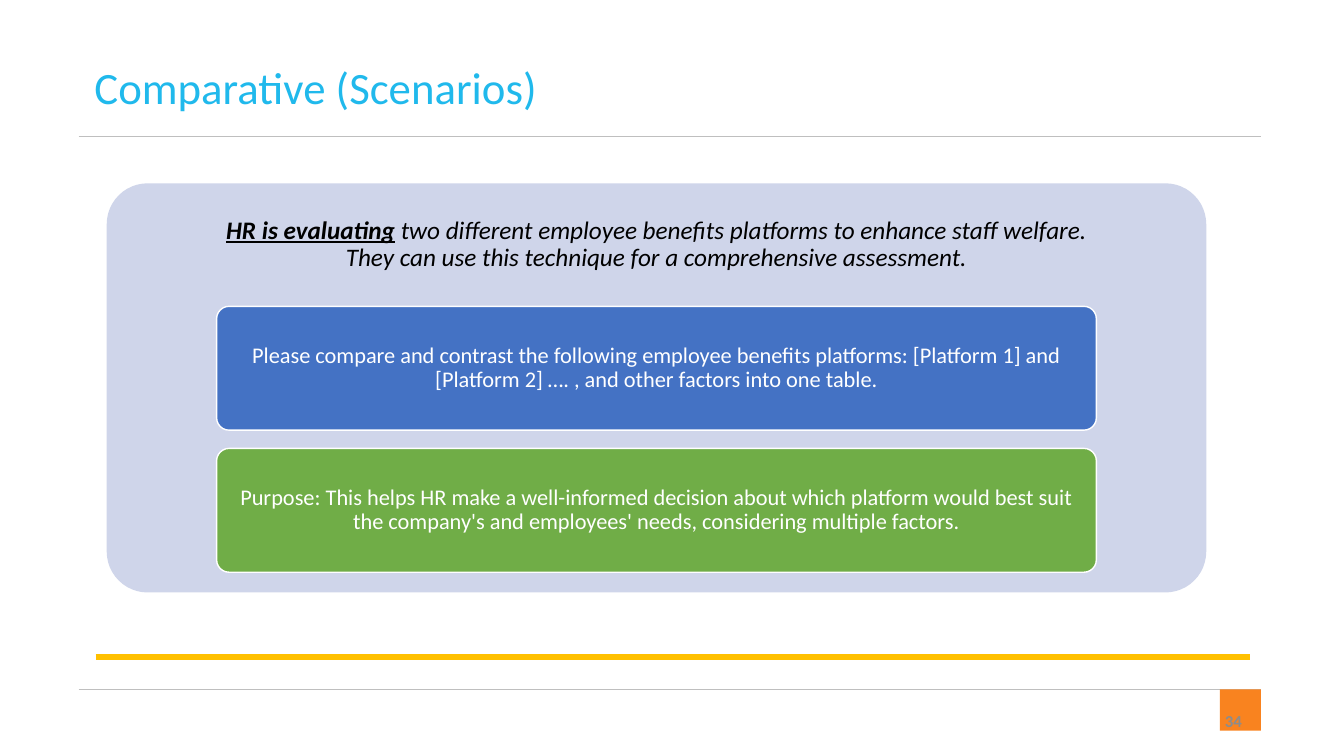
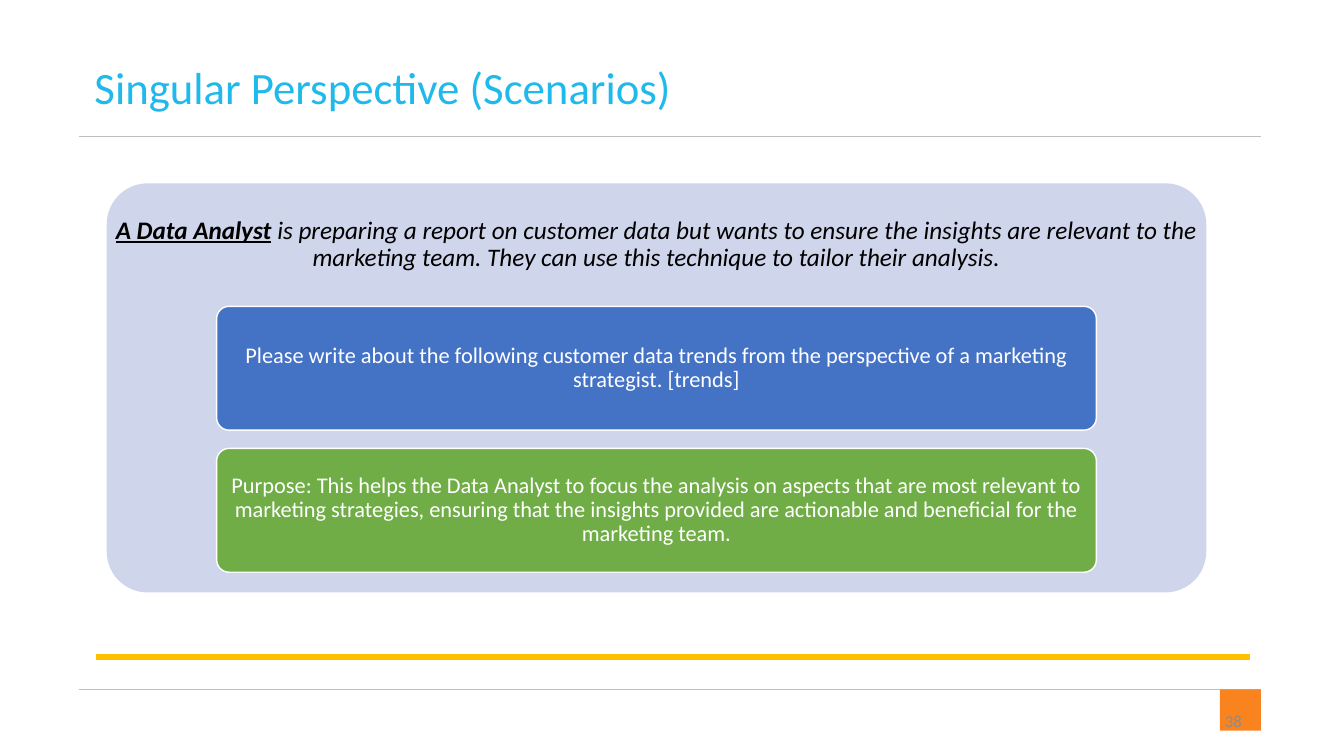
import lxml.etree
import pptx
import pptx.dml.color
import pptx.enum.shapes
import pptx.enum.text
import pptx.oxml.ns
import pptx.util

Cm = pptx.util.Cm
Pt = pptx.util.Pt
RGBColor = pptx.dml.color.RGBColor
ALIGN = pptx.enum.text.PP_ALIGN
ANCHOR = pptx.enum.text.MSO_ANCHOR
SHAPE = pptx.enum.shapes.MSO_SHAPE

SKY = RGBColor(0x20, 0xB9, 0xEC)
ORANGE = RGBColor(0xF9, 0x83, 0x1F)
GOLD = RGBColor(0xFF, 0xC0, 0x00)
SILVER = RGBColor(0xBF, 0xBF, 0xBF)
GREY = RGBColor(0x8C, 0x8C, 0x8C)
LAVENDER = RGBColor(0xCF, 0xD5, 0xEA)
BLUE = RGBColor(0x44, 0x72, 0xC4)
GREEN = RGBColor(0x70, 0xAD, 0x47)
WHITE = RGBColor(0xFF, 0xFF, 0xFF)
BLACK = RGBColor(0, 0, 0)

TITLE_ONLY = 5
RULE_LEFT, RULE_RIGHT = Cm(1.98), Cm(31.78)
FOOTER_TOP = Cm(17.37)
MARKER_SIZE = Cm(1.04)
PANEL_LEFT, PANEL_TOP = Cm(2.69), Cm(4.62)
PANEL_WIDTH, PANEL_HEIGHT = Cm(27.71), Cm(10.31)
SCENARIO_HEIGHT = Cm(3.1)
CARD_LEFT, CARD_WIDTH, CARD_HEIGHT = Cm(5.46), Cm(22.17), Cm(3.12)
CARD_GAP = Cm(0.46)

SCENARIOS = [
    {
        "number": "34",
        "number_bold": True,
        "title": "Comparative (Scenarios)",
        "subject": "HR is evaluating",
        "situation": [
            " two different employee benefits platforms to enhance staff welfare.",
            "They can use this technique for a comprehensive assessment.",
        ],
        "prompt": "Please compare and contrast the following employee benefits platforms: "
                  "[Platform 1] and [Platform 2] …. , and other factors into one table.",
        "purpose": "Purpose: This helps HR make a well-informed decision about which platform "
                   "would best suit the company's and employees' needs, considering multiple "
                   "factors.",
    },
    {
        "number": "38",
        "number_bold": False,
        "title": "Singular Perspective (Scenarios)",
        "subject": "A Data Analyst",
        "situation": [
            " is preparing a report on customer data but wants to ensure the insights are "
            "relevant to the marketing team. They can use this technique to tailor their "
            "analysis.",
        ],
        "prompt": "Please write about the following customer data trends from the perspective "
                  "of a marketing strategist. [trends]",
        "purpose": "Purpose: This helps the Data Analyst to focus the analysis on aspects that "
                   "are most relevant to marketing strategies, ensuring that the insights "
                   "provided are actionable and beneficial for the marketing team.",
    },
]


class Deck:
    """Holds the presentation, its text style and the slide being drawn."""

    font_name = "Calibri"

    def __init__(self):
        self.presentation = pptx.Presentation()
        self.presentation.slide_width = Cm(33.87)
        self.presentation.slide_height = Cm(19.05)
        self.slide = None

    def start_slide(self, title, number, number_bold):
        layout = self.presentation.slide_layouts[TITLE_ONLY]
        self.slide = self.presentation.slides.add_slide(layout)
        self.rule(RULE_LEFT, RULE_RIGHT, FOOTER_TOP, SILVER, 0.5)
        self.block(SHAPE.RECTANGLE, RULE_RIGHT - MARKER_SIZE, FOOTER_TOP,
                   MARKER_SIZE, MARKER_SIZE, ORANGE)
        self.rule(RULE_LEFT, RULE_RIGHT, Cm(3.43), SILVER, 0.5)
        self.rule(Cm(2.41), Cm(31.5), Cm(16.56), GOLD, 4.5)
        self.page_number(number, number_bold)
        self.title(title)

    def style(self, paragraph, size, color, align, spacing=1.0):
        paragraph.alignment = align
        paragraph.line_spacing = spacing
        paragraph.font.name = self.font_name
        paragraph.font.size = Pt(size)
        paragraph.font.color.rgb = color

    def frame(self, shape, anchor, inset_x=Cm(0.25), inset_y=Cm(0.13)):
        """Set wrapping, anchor and margins; return the text frame."""
        frame = shape.text_frame
        frame.word_wrap = True
        frame.vertical_anchor = anchor
        frame.margin_left = frame.margin_right = inset_x
        frame.margin_top = frame.margin_bottom = inset_y
        return frame

    def rule(self, left, right, top, color, weight):
        line = self.slide.shapes.add_connector(
            pptx.enum.shapes.MSO_CONNECTOR.STRAIGHT, left, top, right, top)
        line.line.color.rgb = color
        line.line.width = Pt(weight)
        lxml.etree.SubElement(line._element.spPr, pptx.oxml.ns.qn("a:effectLst"))

    def block(self, kind, left, top, width, height, fill, outline=None):
        shape = self.slide.shapes.add_shape(kind, left, top, width, height)
        shape.shadow.inherit = False
        shape.fill.solid()
        shape.fill.fore_color.rgb = fill
        if outline is None:
            shape.line.fill.background()
        else:
            shape.line.color.rgb = outline
            shape.line.width = Pt(1)
        if kind == SHAPE.ROUNDED_RECTANGLE:
            shape.adjustments[0] = 0.1
        return shape

    def title(self, text):
        heading = self.slide.shapes.title
        heading.left, heading.top = Cm(2.13), Cm(1.37)
        heading.width, heading.height = Cm(30.4), Cm(1.63)
        frame = self.frame(heading, ANCHOR.TOP)
        frame.auto_size = pptx.enum.text.MSO_AUTO_SIZE.SHAPE_TO_FIT_TEXT
        frame.text = text
        self.style(frame.paragraphs[0], 32, SKY, ALIGN.LEFT)

    def page_number(self, number, bold):
        box = self.slide.shapes.add_textbox(Cm(23.93), Cm(17.65), Cm(7.62), Cm(1.02))
        frame = self.frame(box, ANCHOR.MIDDLE)
        frame.text = number
        self.style(frame.paragraphs[0], 12, GREY, ALIGN.RIGHT)
        frame.paragraphs[0].font.bold = bold

    def panel(self, subject, situation):
        """Draw the scenario panel, its subject bold and underlined."""
        self.block(SHAPE.ROUNDED_RECTANGLE, PANEL_LEFT, PANEL_TOP,
                   PANEL_WIDTH, PANEL_HEIGHT, LAVENDER)
        box = self.slide.shapes.add_textbox(PANEL_LEFT, PANEL_TOP,
                                            PANEL_WIDTH, SCENARIO_HEIGHT)
        paragraph = self.frame(box, ANCHOR.MIDDLE, Cm(0.18), Cm(0.18)).paragraphs[0]
        self.style(paragraph, 18, BLACK, ALIGN.CENTER, 0.9)
        paragraph.font.italic = True
        lead = paragraph.add_run()
        lead.text = subject
        lead.font.bold = lead.font.underline = True
        for index, line in enumerate(situation):
            if index:
                paragraph.add_line_break()
            paragraph.add_run().text = line

    def card(self, row, text, fill):
        top = PANEL_TOP + SCENARIO_HEIGHT + row * (CARD_HEIGHT + CARD_GAP)
        shape = self.block(SHAPE.ROUNDED_RECTANGLE, CARD_LEFT, top,
                           CARD_WIDTH, CARD_HEIGHT, fill, WHITE)
        frame = self.frame(shape, ANCHOR.MIDDLE, Cm(0.1), Cm(0.08))
        frame.text = text
        self.style(frame.paragraphs[0], 16, WHITE, ALIGN.CENTER, 0.9)


def main():
    deck = Deck()
    for scenario in SCENARIOS:
        deck.start_slide(scenario["title"], scenario["number"], scenario["number_bold"])
        deck.panel(scenario["subject"], scenario["situation"])
        deck.card(0, scenario["prompt"], BLUE)
        deck.card(1, scenario["purpose"], GREEN)
    deck.presentation.save("out.pptx")


if __name__ == "__main__":
    main()
